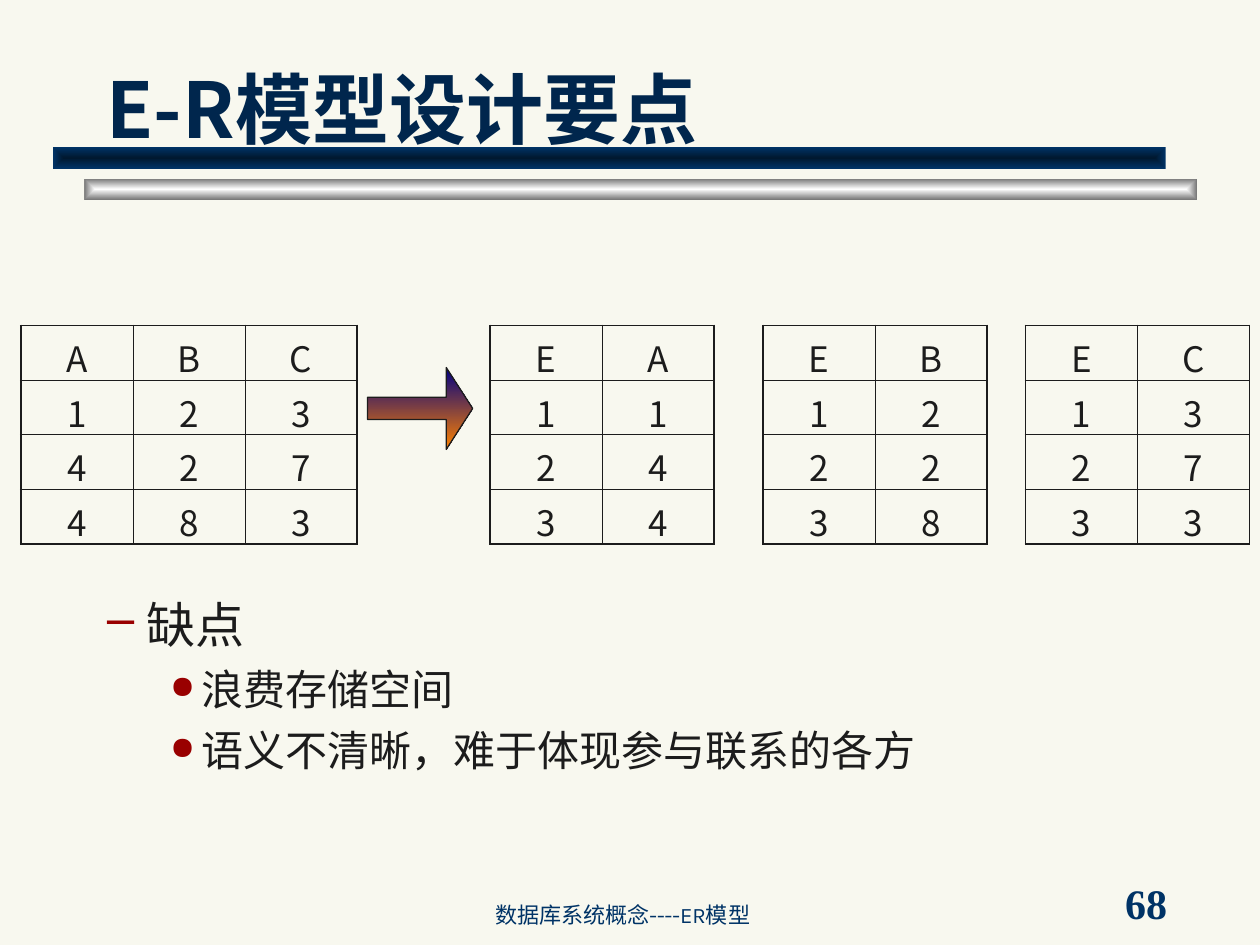
from lxml.etree import SubElement
from pptx import Presentation
from pptx.dml.color import RGBColor
from pptx.enum.shapes import MSO_SHAPE
from pptx.enum.text import MSO_ANCHOR, PP_ALIGN
from pptx.oxml.ns import qn
from pptx.util import Cm, Pt

NAVY, TITLE, INK, RED, PAPER = "003366", "00264D", "1C1C1C", "990000", "F8F8EF"
CJK_JP, CJK_SC = "Noto Sans CJK JP", "Noto Sans CJK SC"


def rgb(value):
    return RGBColor.from_string(value)


def add(parent, tag, **attrs):
    return SubElement(parent, qn(tag), attrs)


class SlideBuilder:
    """Holds the style and the current slide; one method per element kind."""

    outer, inner = Pt(1.08), Pt(0.45)
    col_width, row_height = Cm(2.26), Cm(1.1)

    def __init__(self, prs):
        self.s = prs.slides.add_slide(prs.slide_layouts[6])
        fill = self.s.background.fill
        fill.solid()
        fill.fore_color.rgb = rgb(PAPER)

    def font(self, p, size, latin, color, bold=False, east=CJK_SC):
        f = p.font
        f.size, f.name, f.bold = Pt(size), latin, bold
        f.color.rgb = rgb(color)
        add(p._p.pPr.find(qn("a:defRPr")), "a:ea", typeface=east)

    def text(self, box, anchor, wrap=True):
        tf = self.s.shapes.add_textbox(*map(Cm, box)).text_frame
        tf.word_wrap, tf.vertical_anchor = wrap, anchor
        return tf

    def line(self, box, anchor, text, size, latin, color, bold=False, wrap=True):
        p = self.text(box, anchor, wrap).paragraphs[0]
        p.text = text
        self.font(p, size, latin, color, bold)
        return p

    def bullets(self, box, items):
        tf = self.text(box, MSO_ANCHOR.TOP)
        for i, (level, text) in enumerate(items):
            p = tf.add_paragraph() if i else tf.paragraphs[0]
            p.text, p.level, p.alignment = text, level, PP_ALIGN.JUSTIFY
            if i:
                p.space_before = Pt(6)
            char, size, margin, hang, bullet_size = {
                1: ("–", 28, 2.06, 0.79, 100),
                2: ("●", 24, 3.18, 0.64, 75),
            }[level]
            pPr = p._p.get_or_add_pPr()
            pPr.set("marL", str(Cm(margin)))
            pPr.set("indent", str(-Cm(hang)))
            add(add(pPr, "a:buClr"), "a:srgbClr", val=RED)
            add(pPr, "a:buSzPct", val=str(bullet_size * 1000))
            add(pPr, "a:buChar", char=char)
            self.font(p, size, CJK_JP, INK, east=CJK_JP)

    def shape(self, kind, box, colors):
        sp = self.s.shapes.add_shape(kind, *map(Cm, box))
        sp.shadow.inherit = False
        sp.fill.gradient()
        for stop, color, position in zip(sp.fill.gradient_stops, colors, (0, 1)):
            stop.color.rgb, stop.position = rgb(color), position
        return sp

    def bar(self, left, top, colors):
        sp = self.shape(MSO_SHAPE.RECTANGLE, (left, top, 22.43, 0.43), colors)
        sp.line.fill.background()
        grad = sp._element.spPr.find(qn("a:gradFill"))
        grad.remove(grad.find(qn("a:lin")))
        center = dict.fromkeys("ltrb", "50000")
        add(add(grad, "a:path", path="rect"), "a:fillToRect", **center)

    def arrow(self, box, colors):
        sp = self.shape(MSO_SHAPE.RIGHT_ARROW, box, colors)
        sp.fill.gradient_angle = 270
        sp.adjustments[0], sp.adjustments[1] = 0.271, 0.323
        sp.line.color.rgb, sp.line.width = rgb(INK), Pt(0.75)

    def table(self, left, top, rows):
        n, m = len(rows), len(rows[0])
        table = self.s.shapes.add_table(
            n, m, Cm(left), Cm(top), self.col_width * m, self.row_height * n).table
        table.first_row = table.horz_banding = False
        for i, row in enumerate(rows):
            for j, value in enumerate(row):
                cell = table.cell(i, j)
                p = cell.text_frame.paragraphs[0]
                p.text, p.alignment = str(value), PP_ALIGN.CENTER
                self.font(p, 20, CJK_JP, INK, east=CJK_JP)
                self.borders(cell, L=j == 0, R=j == m - 1, T=i == 0, B=i == n - 1)
                cell.fill.background()

    def borders(self, cell, **sides):
        tcPr = cell._tc.get_or_add_tcPr()
        for side, on_edge in sides.items():
            ln = add(tcPr, f"a:ln{side}", w=str(self.outer if on_edge else self.inner))
            add(add(ln, "a:solidFill"), "a:srgbClr", val=INK)


def main():
    prs = Presentation()
    prs.slide_width, prs.slide_height = Cm(25.4), Cm(19.05)
    b = SlideBuilder(prs)

    # Title rules
    b.bar(1.7, 3.6, ("FFFFFF", "767676"))
    b.bar(1.07, 2.97, ("00182F", NAVY))

    # Page number and footer
    b.line((22.43, 17.78, 2.74, 0.84), MSO_ANCHOR.MIDDLE, "68", 24,
           "Times New Roman", NAVY, bold=True, wrap=False)
    footer = b.line((9.73, 17.98, 10.36, 0.84), MSO_ANCHOR.BOTTOM,
                    "数据库系统概念----ER模型", 12.6, "Karla", NAVY)
    footer.line_spacing = 0.8

    # Drawbacks
    b.bullets((0.64, 11.86, 24.23, 4.9), [
        (1, "缺点"),
        (2, "浪费存储空间"),
        (2, "语义不清晰，难于体现参与联系的各方"),
    ])

    # Ternary relation, split into one table per attribute with key E
    relation = [("A", "B", "C"), (1, 2, 3), (4, 2, 7), (4, 8, 3)]
    b.table(0.42, 6.56, relation)
    keys = ("E", 1, 2, 3)
    for left, column in zip((9.88, 15.38, 20.67), zip(*relation)):
        b.table(left, 6.56, list(zip(keys, column)))
    b.arrow((7.41, 7.41, 2.12, 1.65), ("000082", "FF8200"))

    # Title
    b.line((1.9, 0.64, 21.64, 2.59), MSO_ANCHOR.BOTTOM, "E-R模型设计要点", 44,
           CJK_SC, TITLE, bold=True)

    prs.save("out.pptx")


if __name__ == "__main__":
    main()
